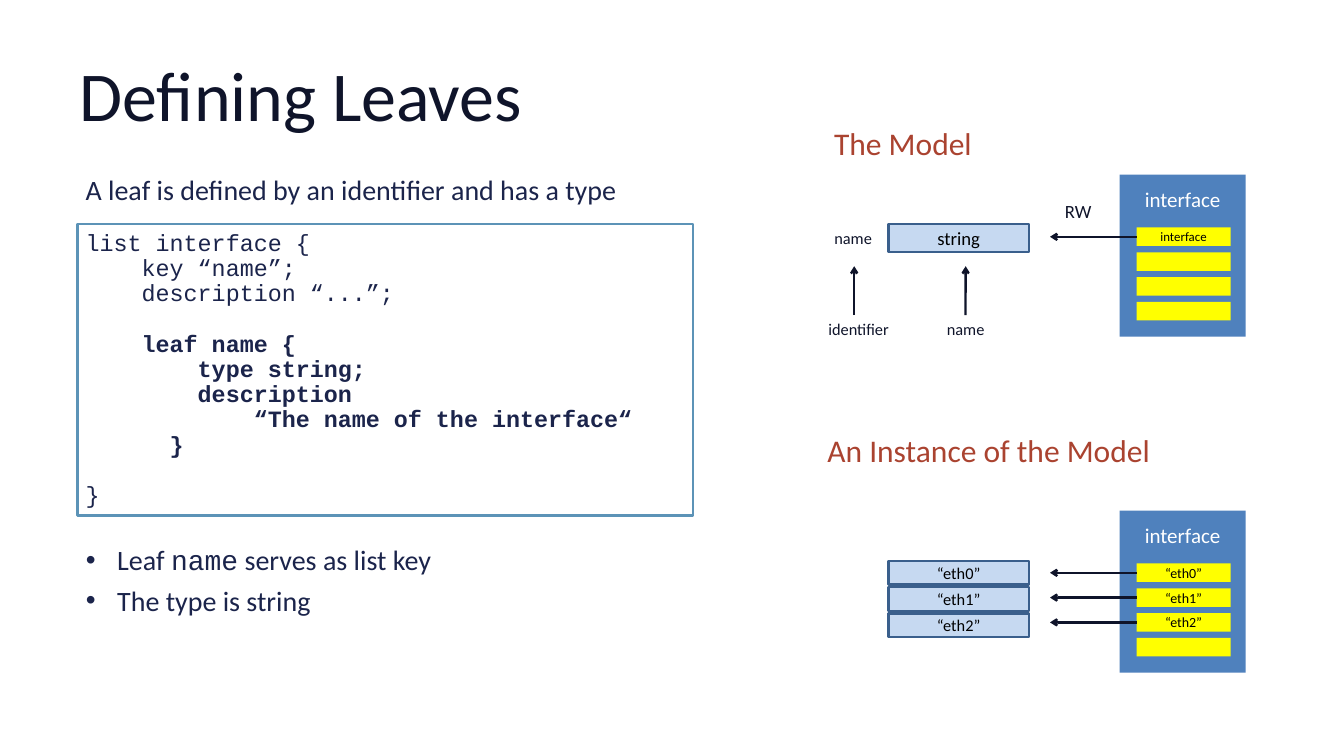
from dataclasses import dataclass

import pptx
import pptx.dml.color
import pptx.enum.shapes
import pptx.enum.text
import pptx.oxml
import pptx.oxml.ns
import pptx.util
from pptx.dml.color import RGBColor
from pptx.enum.text import MSO_ANCHOR, MSO_AUTO_SIZE, PP_ALIGN
from pptx.shapes.autoshape import Shape
from pptx.slide import Slide
from pptx.util import Cm, Pt

INK = RGBColor(0x0F, 0x14, 0x2A)
NAVY = RGBColor(0x1B, 0x24, 0x4B)
RUST = RGBColor(0xAA, 0x43, 0x30)
BLACK = RGBColor(0x00, 0x00, 0x00)
WHITE = RGBColor(0xFF, 0xFF, 0xFF)
YELLOW = RGBColor(0xFF, 0xFF, 0x00)
BLUE = RGBColor(0x4F, 0x81, 0xBD)
PALE_BLUE = RGBColor(0xC6, 0xD9, 0xF1)
LEAF_EDGE = RGBColor(0x3A, 0x5F, 0x8C)
CODE_EDGE = RGBColor(0x5C, 0x93, 0xB7)
SANS, MONO = "Calibri", "Courier New"
CODE_LINE_GAP = 21.6


@dataclass
class Label:
    text: str
    left: float
    top: float
    width: float
    height: float
    size: float
    color: RGBColor = INK
    align: PP_ALIGN = PP_ALIGN.LEFT
    wrap: bool = False
    spacing: float = 1.0


@dataclass
class Box:
    left: float
    top: float
    width: float
    height: float
    fill: RGBColor | None = None
    edge: RGBColor | None = None
    edge_width: float = 2
    text: str = ""
    size: float = 14


@dataclass
class CodeLine:
    text: str
    bold: bool = False
    gap_before: float = 0


@dataclass
class InterfacePanel:
    top: float
    entries: list[str]
    entry_size: float


def set_font(target, size: float, color: RGBColor, name: str = SANS) -> None:
    target.font.size = Pt(size)
    target.font.name = name
    target.font.color.rgb = color


def place(shape: Shape, left: float, top: float, width: float, height: float) -> None:
    shape.left, shape.top = Cm(left), Cm(top)
    shape.width, shape.height = Cm(width), Cm(height)


def add_label(page: Slide, label: Label) -> Shape:
    box = page.shapes.add_textbox(
        Cm(label.left), Cm(label.top), Cm(label.width), Cm(label.height))
    box.text_frame.word_wrap = label.wrap
    box.text_frame.auto_size = MSO_AUTO_SIZE.SHAPE_TO_FIT_TEXT
    para = box.text_frame.paragraphs[0]
    para.text = label.text
    para.alignment = label.align
    para.line_spacing = label.spacing
    set_font(para, label.size, label.color)
    return box


def add_box(page: Slide, box: Box) -> Shape:
    shape = page.shapes.add_shape(
        pptx.enum.shapes.MSO_SHAPE.RECTANGLE,
        Cm(box.left), Cm(box.top), Cm(box.width), Cm(box.height))
    shape.shadow.inherit = False
    if box.fill is None:
        shape.fill.background()
    else:
        shape.fill.solid()
        shape.fill.fore_color.rgb = box.fill
    if box.edge is None:
        shape.line.fill.background()
    else:
        shape.line.color.rgb = box.edge
        shape.line.width = Pt(box.edge_width)
    shape.text_frame.vertical_anchor = MSO_ANCHOR.MIDDLE
    if box.text:
        para = shape.text_frame.paragraphs[0]
        para.text = box.text
        para.alignment = PP_ALIGN.CENTER
        set_font(para, box.size, BLACK)
    return shape


def add_arrow(page: Slide, start: tuple[float, float], end: tuple[float, float],
              source: Shape | None = None, site: int = 0) -> None:
    arrow = page.shapes.add_connector(
        pptx.enum.shapes.MSO_CONNECTOR.STRAIGHT,
        Cm(start[0]), Cm(start[1]), Cm(end[0]), Cm(end[1]))
    if source is not None:
        arrow.begin_connect(source, site)
    arrow.line.color.rgb = INK
    arrow.line.width = Pt(2)
    properties = arrow.element.spPr
    line = properties.find(pptx.oxml.ns.qn("a:ln"))
    line.append(pptx.oxml.parse_xml(
        f'<a:tailEnd {pptx.oxml.ns.nsdecls("a")} type="arrow"/>'))
    properties.append(pptx.oxml.parse_xml(
        f'<a:effectLst {pptx.oxml.ns.nsdecls("a")}/>'))


def add_panel(page: Slide, panel: InterfacePanel) -> None:
    """Draw an interface list with four rows and an arrow from each filled row."""
    add_box(page, Box(33.86, panel.top, 3.81, 4.9, BLUE))
    add_label(page, Label("interface", 34.34, panel.top + 0.25, 2.84, 1.02, 18,
                          WHITE, PP_ALIGN.CENTER))
    for row in range(4):
        top = panel.top + 1.6 + 0.75 * row
        text = panel.entries[row] if row < len(panel.entries) else ""
        cell = add_box(page, Box(34.37, top, 2.84, 0.56, YELLOW, text=text,
                                 size=panel.entry_size))
        if text:
            middle = top + 0.28
            add_arrow(page, (34.37, middle), (31.75, middle), cell, 1)


def add_bullets(body: Shape, items: list[list[tuple[str, str]]]) -> None:
    frame = body.text_frame
    frame.auto_size = MSO_AUTO_SIZE.SHAPE_TO_FIT_TEXT
    for index, spans in enumerate(items):
        para = frame.add_paragraph() if index else frame.paragraphs[0]
        properties = para._p.get_or_add_pPr()
        properties.set("marL", str(Cm(0.95)))
        properties.set("indent", str(-Cm(0.95)))
        properties.append(pptx.oxml.parse_xml(
            f'<a:buChar {pptx.oxml.ns.nsdecls("a")} char="•"/>'))
        para.line_spacing = 1.2
        para.space_before = Pt(0)
        for text, font_name in spans:
            span = para.add_run()
            span.text = text
            set_font(span, 24, NAVY, font_name)


def add_code(page: Slide, lines: list[CodeLine]) -> None:
    frame = add_box(page, Box(2.34, 6.78, 18.62, 8.81, edge=CODE_EDGE,
                              edge_width=2.25)).text_frame
    for index, line in enumerate(lines):
        para = frame.add_paragraph() if index else frame.paragraphs[0]
        para.text = line.text
        para.alignment = PP_ALIGN.LEFT
        para.line_spacing = 0.9
        para.space_before = Pt(line.gap_before)
        set_font(para, 20, NAVY, MONO)
        para.font.bold = line.bold


def main() -> None:
    deck = pptx.Presentation()
    deck.slide_width, deck.slide_height = Cm(40.64), Cm(22.86)
    page = deck.slides.add_slide(deck.slide_layouts[1])

    # Title and explanation
    title, body = page.placeholders
    place(title, 2.03, 0.91, 36.58, 3.81)
    frame = title.text_frame
    frame.text = "Defining Leaves"
    frame.vertical_anchor = MSO_ANCHOR.MIDDLE
    frame.margin_left = frame.margin_right = Cm(0.38)
    frame.margin_top = frame.margin_bottom = Cm(0.2)
    frame.paragraphs[0].alignment = PP_ALIGN.LEFT
    set_font(frame.paragraphs[0], 60, INK)
    add_label(page, Label("A leaf is defined by an identifier and has a type",
                          2.34, 4.88, 18.62, 1.45, 24, NAVY, wrap=True, spacing=1.2))
    place(body, 2.34, 16.08, 19.05, 2.69)
    add_bullets(body, [
        [("Leaf ", SANS), ("name", MONO), (" serves as list key", SANS)],
        [("The type is string", SANS)],
    ])

    # Code listing
    add_code(page, [
        CodeLine("list interface {"),
        CodeLine("    key “name”;"),
        CodeLine("    description “...”;"),
        CodeLine("    leaf name {", True, CODE_LINE_GAP),
        CodeLine("        type string;", True),
        CodeLine("        description", True),
        CodeLine("            “The name of the interface“", True),
        CodeLine("      }", True),
        CodeLine("}", gap_before=CODE_LINE_GAP),
    ])

    # The model
    add_label(page, Label("The Model", 24.97, 3.61, 4.72, 1.42, 27, RUST))
    add_box(page, Box(26.87, 6.78, 4.24, 0.84, PALE_BLUE, LEAF_EDGE,
                      text="string", size=16))
    add_panel(page, InterfacePanel(5.28, ["interface"], 11))
    add_label(page, Label("name", 24.97, 6.78, 1.65, 0.86, 14, align=PP_ALIGN.RIGHT))
    add_label(page, Label("RW", 31.95, 5.92, 1.32, 0.94, 16))
    add_label(page, Label("identifier", 24.77, 9.53, 2.36, 0.86, 14,
                          align=PP_ALIGN.RIGHT))
    name = add_label(page, Label("name", 28.37, 9.53, 1.65, 0.86, 14,
                                 align=PP_ALIGN.RIGHT))
    add_arrow(page, (25.83, 9.53), (25.83, 8.05))
    add_arrow(page, (29.2, 9.53), (29.2, 8.05), name, 0)

    # The instance
    add_label(page, Label("An Instance of the Model", 24.77, 12.9, 10.39, 1.42, 27, RUST))
    ports = ["“eth0”", "“eth1”", "“eth2”"]
    add_panel(page, InterfacePanel(15.44, ports, 12))
    for row, port in enumerate(ports):
        add_box(page, Box(26.87, 16.97 + 0.79 * row, 4.24, 0.71, PALE_BLUE,
                          LEAF_EDGE, text=port))

    deck.save("out.pptx")


if __name__ == "__main__":
    main()
